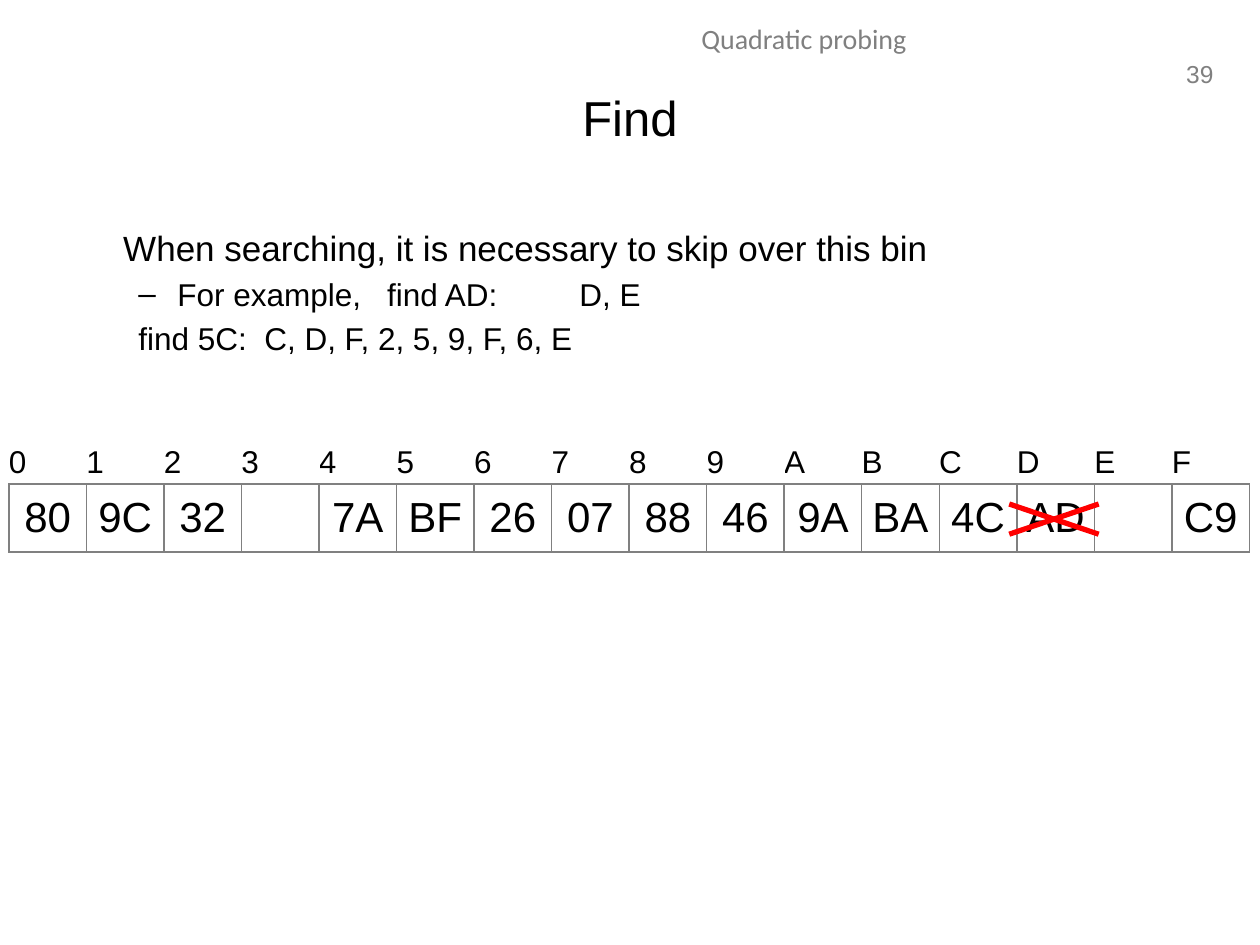
from lxml import etree
from pptx import Presentation
from pptx.dml.color import RGBColor
from pptx.enum import shapes, text
from pptx.oxml import ns
from pptx.util import Inches, Pt

BLACK = RGBColor(0, 0, 0)
GRAY = RGBColor(0x80, 0x80, 0x80)
RED = RGBColor(0xFF, 0, 0)
LEFT, CENTER, RIGHT = text.PP_ALIGN.LEFT, text.PP_ALIGN.CENTER, text.PP_ALIGN.RIGHT
BINS = "0123456789ABCDEF"
ENTRIES = ["80", "9C", "32", "", "7A", "BF", "26", "07",
           "88", "46", "9A", "BA", "4C", "AD", "", "C9"]


def add_child(parent, tag, **attributes):
    """Append a DrawingML element and return it."""
    child = etree.SubElement(parent, ns.qn(tag))
    for name, value in attributes.items():
        child.set(name, str(value))
    return child


def write(paragraph, words, size=18, font="Arial", color=BLACK, align=LEFT,
          margin=0, indent=0, bullet=None, tabs=(), before=0):
    """Fill a paragraph with formatted text."""
    paragraph.text = words
    paragraph.alignment = align
    paragraph.space_before = Pt(before)
    properties = paragraph._p.get_or_add_pPr()
    properties.set("marL", str(Inches(margin)))
    properties.set("indent", str(Inches(indent)))
    if bullet:
        add_child(properties, "a:buFont", typeface=font)
        add_child(properties, "a:buChar", char=bullet)
    else:
        add_child(properties, "a:buNone")
    if tabs:
        stops = add_child(properties, "a:tabLst")
        for stop in tabs:
            add_child(stops, "a:tab", pos=Inches(stop), algn="l")
    paragraph.font.size = Pt(size)
    paragraph.font.name = font
    paragraph.font.bold = False
    paragraph.font.color.rgb = color
    for run in paragraph.runs:
        run.font.size = Pt(size)
        run.font.name = font
        run.font.bold = False
        run.font.color.rgb = color


def add_text(slide, left, top, width, height, words, wrap=True, **style):
    """Add a text box with one paragraph and return its frame."""
    box = slide.shapes.add_textbox(Inches(left), Inches(top), Inches(width), Inches(height))
    frame = box.text_frame
    frame.word_wrap = wrap
    write(frame.paragraphs[0], words, **style)
    return frame


def set_title(slide, words):
    """Place and format the title placeholder."""
    title = slide.shapes.title
    title.left, title.top = Inches(0.5), Inches(0.3)
    title.width, title.height = Inches(9), Inches(1.25)
    title.text_frame.vertical_anchor = text.MSO_ANCHOR.MIDDLE
    write(title.text_frame.paragraphs[0], words, size=28, align=CENTER)


def add_explanation(slide):
    """Add the statement and its two search examples."""
    frame = add_text(slide, 0.5, 1.75, 9, 4.95,
                     "When searching, it is necessary to skip over this bin",
                     size=20, margin=0.38)
    write(frame.add_paragraph(), "For example,   find AD:\tD, E",
          margin=0.81, indent=-0.31, bullet="–", tabs=[4], before=3.6)
    write(frame.add_paragraph(), "\tfind 5C:\tC, D, F, 2, 5, 9, F, 6, E",
          tabs=[2.99, 4.49], before=3.6)


def add_borders(cell):
    """Draw a thin gray line on every side of a cell."""
    properties = cell._tc.get_or_add_tcPr()
    for position, side in enumerate(("a:lnL", "a:lnR", "a:lnT", "a:lnB")):
        line = add_child(properties, side, w=Pt(1))
        fill = add_child(line, "a:solidFill")
        add_child(fill, "a:srgbClr", val=GRAY)
        properties.insert(position, line)


def format_cell(cell, words, **style):
    """Write a cell without margins or fill."""
    cell.margin_left = cell.margin_right = cell.margin_top = cell.margin_bottom = 0
    cell.vertical_anchor = text.MSO_ANCHOR.MIDDLE
    cell.fill.background()
    write(cell.text_frame.paragraphs[0], words, **style)


def add_hash_table(slide):
    """Add the bin numbers above the bordered entries."""
    frame = slide.shapes.add_table(2, len(BINS), Inches(0.07), Inches(3.51),
                                   Inches(9.85), Inches(0.87))
    table = frame.table
    table.first_row = table.horz_banding = False
    table.rows[0].height, table.rows[1].height = Inches(0.33), Inches(0.54)
    for column, (number, entry) in enumerate(zip(BINS, ENTRIES)):
        format_cell(table.cell(0, column), number)
        format_cell(table.cell(1, column), entry, size=24, align=CENTER)
        add_borders(table.cell(1, column))


def add_stroke(slide, start_y, end_y):
    """Add one red stroke across the erased entry."""
    stroke = slide.shapes.add_connector(shapes.MSO_CONNECTOR.STRAIGHT, Inches(8.01),
                                        Inches(start_y), Inches(8.72), Inches(end_y))
    stroke.line.color.rgb = RED
    stroke.line.width = Pt(3)
    add_child(stroke._element.spPr, "a:effectLst")


def main():
    """Build the slide on finding entries under quadratic probing."""
    deck = Presentation()
    deck.slide_width, deck.slide_height = Inches(10), Inches(7.5)
    slide = deck.slides.add_slide(deck.slide_layouts[5])
    add_text(slide, 9.29, 0.42, 0.44, 0.33, "39", wrap=False,
             size=14, color=GRAY, align=RIGHT)
    add_text(slide, 3.19, 0.12, 6.38, 0.4, "Quadratic probing",
             size=16, font="Calibri", color=GRAY, align=CENTER)
    add_hash_table(slide)
    add_explanation(slide)
    set_title(slide, "Find")
    add_stroke(slide, 4, 4.24)
    add_stroke(slide, 4.24, 4)
    deck.save("out.pptx")


if __name__ == "__main__":
    main()
